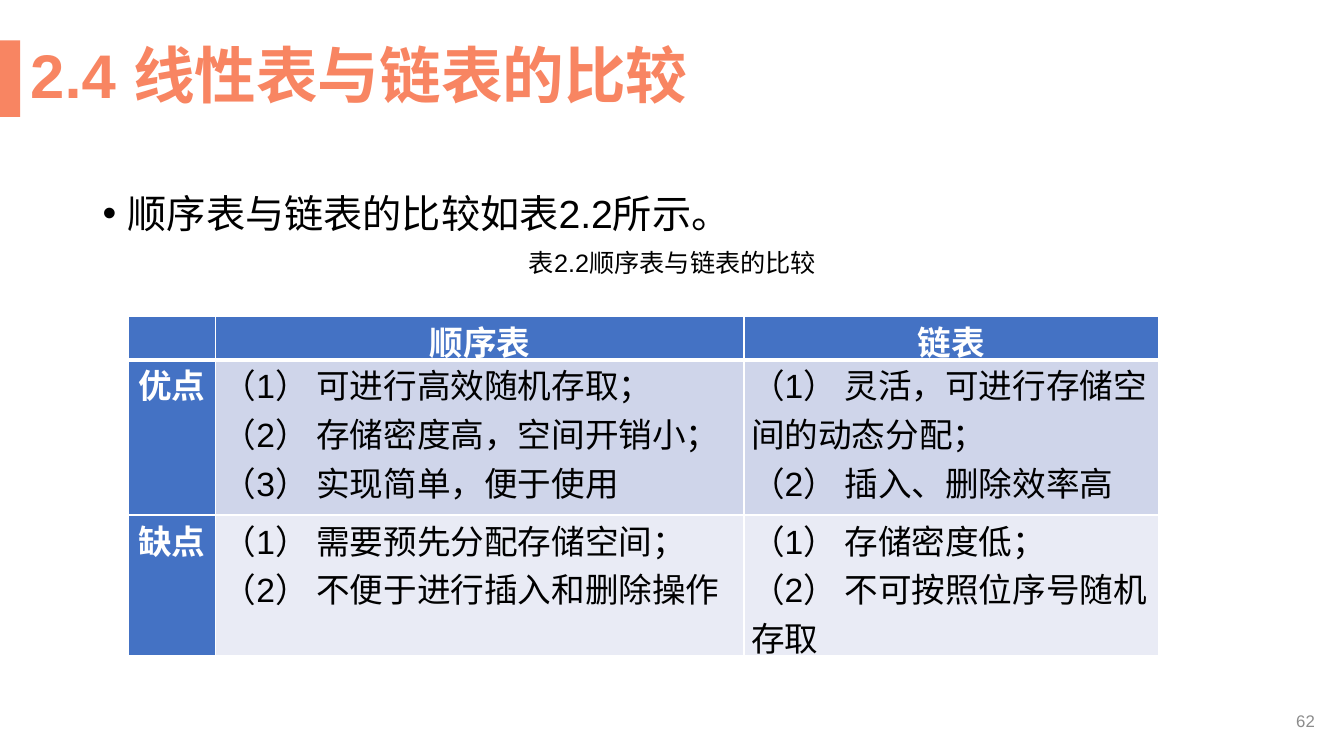
from lxml import etree
from pptx import Presentation
from pptx import util as u
from pptx.dml.color import RGBColor
from pptx.enum import shapes, text
from pptx.oxml import ns

HUES = {"accent": "F88562", "black": "000000", "white": "FFFFFF", "gray": "8C8C8C",
        "head": "4472C4", "pros": "CFD5EA", "cons": "E9EBF5"}
ALIGN = text.PP_ALIGN


def style(para, size, hue, bold=False, align=ALIGN.LEFT):
    para.alignment = align
    font = para.font
    font.name, font.size, font.bold = "Arial", u.Pt(size), bold
    font.color.rgb = RGBColor.from_string(HUES[hue])


def edge(props, side, width):
    """Add a white border of the given width in points to one side of a cell."""
    line = etree.SubElement(props, ns.qn("a:ln" + side), w=str(u.Pt(width)))
    fill = etree.SubElement(line, ns.qn("a:solidFill"))
    etree.SubElement(fill, ns.qn("a:srgbClr"), val=HUES["white"])


deck = Presentation()
deck.slide_width, deck.slide_height = u.Inches(13.33), u.Inches(7.5)
slide = deck.slides.add_slide(deck.slide_layouts[5])

# Title and its accent bar
bar = slide.shapes.add_shape(shapes.MSO_SHAPE.RECTANGLE, u.Inches(0), u.Inches(0.4),
                             u.Inches(0.2), u.Inches(0.76))
bar.shadow.inherit = False
bar.fill.solid()
bar.fill.fore_color.rgb = RGBColor.from_string(HUES["accent"])
bar.line.fill.background()

title = slide.shapes.title
title.left, title.top = u.Inches(0.2), u.Inches(0.39)
title.width, title.height = u.Inches(12.94), u.Inches(0.77)
title.text_frame.text = "2.4 线性表与链表的比较"
title.text_frame.auto_size = text.MSO_AUTO_SIZE.NONE
title.text_frame.vertical_anchor = text.MSO_ANCHOR.MIDDLE
style(title.text_frame.paragraphs[0], 44, "accent", True)
title.text_frame.paragraphs[0].line_spacing = 0.9

# Lead sentence and table caption
body = slide.shapes.add_textbox(u.Inches(0.92), u.Inches(1.88), u.Inches(11.5), u.Inches(4.76))
body.text_frame.word_wrap = True
body.text_frame.text = "顺序表与链表的比较如表2.2所示。\n表2.2顺序表与链表的比较"
lead, label = body.text_frame.paragraphs
props = lead._p.get_or_add_pPr()
props.set("marL", str(u.Inches(0.25)))
props.set("indent", str(-u.Inches(0.25)))
etree.SubElement(props, ns.qn("a:buFont"), typeface="Arial")
etree.SubElement(props, ns.qn("a:buChar"), char="•")
style(lead, 28, "black")
style(label, 18, "black", align=ALIGN.CENTER)
lead.line_spacing = label.line_spacing = 0.9
label.space_before = u.Pt(10)

# Comparison table
rows = [
    ["", "顺序表", "链表"],
    ["优点",
     "（1） 可进行高效随机存取；\n（2） 存储密度高，空间开销小；\n（3） 实现简单，便于使用",
     "（1） 灵活，可进行存储空间的动态分配；\n（2） 插入、删除效率高"],
    ["缺点",
     "（1） 需要预先分配存储空间；\n（2） 不便于进行插入和删除操作",
     "（1） 存储密度低；\n（2） 不可按照位序号随机存取"],
]
table = slide.shapes.add_table(3, 3, u.Inches(1.27), u.Inches(3.14),
                               u.Inches(10.21), u.Inches(3.36)).table
for col, width in zip(table.columns, [0.87, 5.24, 4.11]):
    col.width = u.Inches(width)
for row, height in zip(table.rows, [0.43, 1.54, 1.39]):
    row.height = u.Inches(height)

for r, row in enumerate(rows):
    for c, words in enumerate(row):
        cell = table.cell(r, c)
        cell.text = words
        cell.margin_left = cell.margin_right = u.Inches(0.07)
        cell.margin_top = cell.margin_bottom = 0
        head = r == 0 or c == 0
        for para in cell.text_frame.paragraphs:
            style(para, 24, "white" if head else "black", head,
                  ALIGN.CENTER if head else ALIGN.LEFT)
        props = cell._tc.get_or_add_tcPr()
        for side in "LRTB":
            edge(props, side, 3 if (r, side) in [(0, "B"), (1, "T")] else 1)
        cell.fill.solid()
        hue = "head" if head else ["pros", "cons"][r - 1]
        cell.fill.fore_color.rgb = RGBColor.from_string(HUES[hue])

# Page number
page = slide.shapes.add_textbox(u.Inches(10.14), u.Inches(6.95), u.Inches(3), u.Inches(0.4))
page.text_frame.word_wrap = True
page.text_frame.vertical_anchor = text.MSO_ANCHOR.MIDDLE
page.text_frame.text = "62"
style(page.text_frame.paragraphs[0], 12, "gray", align=ALIGN.RIGHT)

deck.save("out.pptx")
